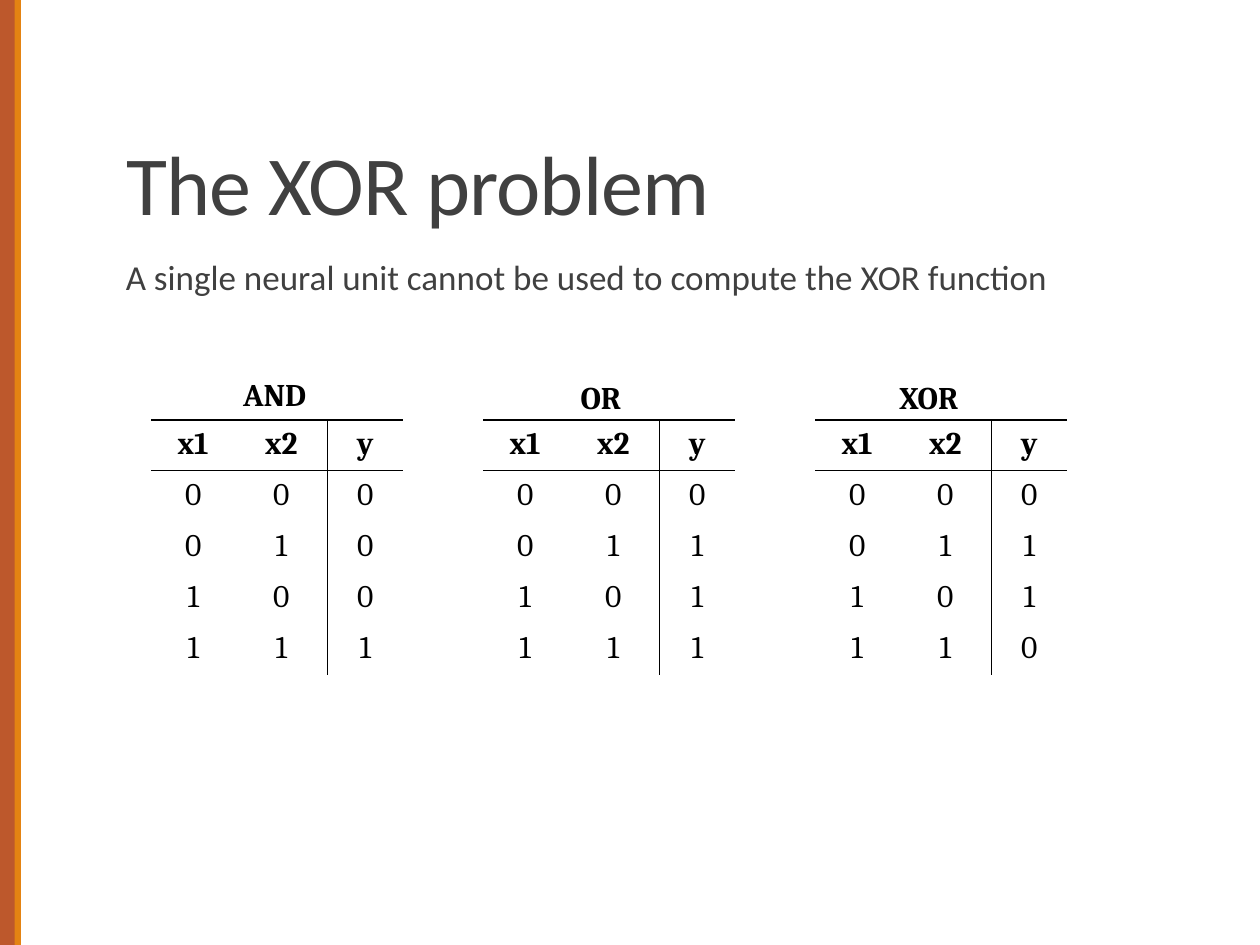
from pptx import Presentation
from pptx.dml.color import RGBColor
from pptx.enum.shapes import MSO_SHAPE
from pptx.enum.text import MSO_ANCHOR, MSO_AUTO_SIZE, PP_ALIGN
from pptx.oxml.ns import qn
from pptx.util import Pt
from lxml.etree import SubElement

TITLE = "The XOR problem"
STATEMENT = "A single neural unit cannot be used to compute the XOR function"
HEADER = ("x1", "x2", "y")
INPUTS = [(0, 0), (0, 1), (1, 0), (1, 1)]
GATES = [
    {"name": "AND", "outputs": (0, 0, 0, 1), "caption": (131.8, 211, 84)},
    {"name": "OR", "outputs": (0, 1, 1, 1), "caption": (324.7, 212.4, 53.3)},
    {"name": "XOR", "outputs": (0, 1, 1, 0), "caption": (506.9, 212.4, 84)},
]

RUST = RGBColor(0xBD, 0x58, 0x2C)
ORANGE = RGBColor(0xE4, 0x83, 0x12)
GRAY = RGBColor(0x40, 0x40, 0x40)
BLACK = RGBColor(0, 0, 0)

PAGE_WIDTH, PAGE_HEIGHT = 720, 540
STRIPES = [(0, 12, RUST), (8.4, 3.6, ORANGE)]
TEXT_LEFT, TEXT_WIDTH = 64.8, 594
TABLE_LEFT, TABLE_TOP, TABLE_PITCH = 86.4, 240, 189.7
COLUMN_WIDTHS = (48, 52.8, 43.2)
HEADER_HEIGHT, ROW_HEIGHT = 28.4, 29.2
EDGES = ("L", "R", "T", "B")


def style(para, font_name, size, color, bold=False):
    for span in para.runs:
        span.font.name = font_name
        span.font.size = Pt(size)
        span.font.color.rgb = color
        span.font.bold = bold


def add_text(page, text, left, top, width, height):
    box = page.shapes.add_textbox(Pt(left), Pt(top), Pt(width), Pt(height))
    box.text_frame.word_wrap = True
    box.text_frame.text = text
    return box.text_frame.paragraphs[0]


def set_borders(cell, ruled):
    properties = cell._tc.get_or_add_tcPr()
    for edge in EDGES:
        line = SubElement(properties, qn(f"a:ln{edge}"), w=str(Pt(1)))
        if edge in ruled:
            fill = SubElement(line, qn("a:solidFill"))
            SubElement(fill, qn("a:srgbClr"), val=str(BLACK))
        else:
            SubElement(line, qn("a:noFill"))


def ruled_edges(row, column):
    edges = {0: "TB", 1: "T"}.get(row, "")
    return edges + ("", "R", "L")[column]


def add_truth_table(page, left, outputs):
    rows = [HEADER] + [(*pair, out) for pair, out in zip(INPUTS, outputs)]
    height = HEADER_HEIGHT + ROW_HEIGHT * len(INPUTS)
    frame = page.shapes.add_table(len(rows), len(HEADER), Pt(left), Pt(TABLE_TOP),
                                  Pt(sum(COLUMN_WIDTHS)), Pt(height))
    table = frame.table
    table.first_row = False
    table.horz_banding = False
    for column, width in zip(table.columns, COLUMN_WIDTHS):
        column.width = Pt(width)
    for r, values in enumerate(rows):
        table.rows[r].height = Pt(ROW_HEIGHT if r else HEADER_HEIGHT)
        for c, value in enumerate(values):
            cell = table.cell(r, c)
            cell.text = str(value)
            para = cell.text_frame.paragraphs[0]
            para.alignment = PP_ALIGN.CENTER
            style(para, "Cambria", 18, BLACK, bold=r == 0)
            set_borders(cell, ruled_edges(r, c))
            cell.fill.background()


deck = Presentation()
deck.slide_width, deck.slide_height = Pt(PAGE_WIDTH), Pt(PAGE_HEIGHT)
page = deck.slides.add_slide(deck.slide_layouts[5])

for left, width, color in STRIPES:
    stripe = page.shapes.add_shape(MSO_SHAPE.RECTANGLE, Pt(left), Pt(0), Pt(width), Pt(PAGE_HEIGHT))
    stripe.shadow.inherit = False
    stripe.fill.solid()
    stripe.fill.fore_color.rgb = color
    stripe.line.fill.background()

title = page.shapes.title
title.left, title.top, title.width, title.height = Pt(TEXT_LEFT), Pt(22.3), Pt(TEXT_WIDTH), Pt(114.5)
title.text_frame.text = TITLE
title.text_frame.auto_size = MSO_AUTO_SIZE.NONE
title.text_frame.vertical_anchor = MSO_ANCHOR.BOTTOM
heading = title.text_frame.paragraphs[0]
heading.alignment = PP_ALIGN.LEFT
heading.line_spacing = 0.85
style(heading, "Calibri", 48, GRAY)
heading.runs[0].font._element.set("spc", "-50")

statement = add_text(page, STATEMENT, TEXT_LEFT, 145.4, TEXT_WIDTH, 316.8)
statement.line_spacing = 0.9
style(statement, "Calibri", 20, GRAY)

for index, gate in enumerate(GATES):
    add_truth_table(page, TABLE_LEFT + index * TABLE_PITCH, gate["outputs"])
    left, top, width = gate["caption"]
    caption = add_text(page, gate["name"], left, top, width, 29)
    style(caption, "Cambria", 18, BLACK, bold=True)

deck.save("out.pptx")
